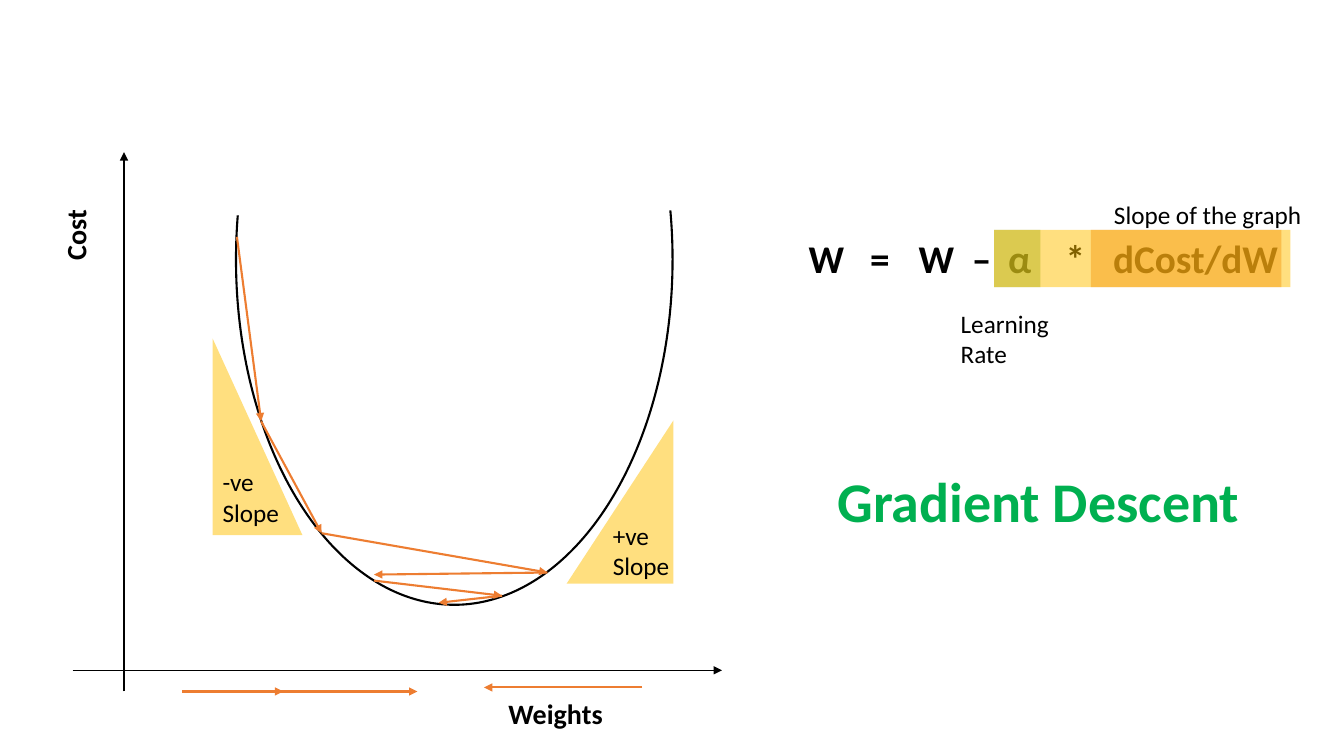
from pptx import Presentation
from pptx.dml.color import RGBColor
from pptx.enum.shapes import MSO_CONNECTOR, MSO_SHAPE
from pptx.enum.text import MSO_AUTO_SIZE, PP_ALIGN
from pptx.oxml.ns import qn
from pptx.util import Inches, Pt
from lxml.etree import SubElement

BLACK, ORANGE, GOLD, LEAF, GREEN = "000000", "ED7D31", "FFC000", "70AD47", "00B050"

EQUATION = ["W", "=", "W", "–", "α", "*", "dCost/dW"]
EQUATION_TABS = [0.61, 1.09, 1.62, 1.98, 2.55, 3.02]

DESCENT_STEPS = [
    ((2.35, 2.35), (2.59, 4.18)),
    ((2.59, 4.18), (3.19, 5.29)),
    ((3.19, 5.29), (5.43, 5.68)),
    ((5.43, 5.68), (3.71, 5.7)),
    ((3.71, 5.76), (4.98, 5.91)),
    ((4.98, 5.91), (4.35, 5.98)),
]
WEIGHT_MOVES = [
    ((1.81, 6.86), (2.81, 6.86)),
    ((2.47, 6.86), (4.14, 6.86)),
    ((6.37, 6.82), (4.8, 6.82)),
]


def color(hex_code):
    return RGBColor.from_string(hex_code)


def add_arrow(slide, start, end, line_color, width):
    points = [Inches(v) for v in (*start, *end)]
    line = slide.shapes.add_connector(MSO_CONNECTOR.STRAIGHT, *points)
    line.line.color.rgb = color(line_color)
    line.line.width = Pt(width)
    SubElement(line.line._get_or_add_ln(), qn("a:tailEnd"), type="triangle")
    SubElement(line._element.spPr, qn("a:effectLst"))


def add_text(slide, box, lines, size, text_color=BLACK, bold=False, align=PP_ALIGN.LEFT):
    sp = slide.shapes.add_textbox(*[Inches(v) for v in box])
    tf = sp.text_frame
    tf.word_wrap = True
    tf.auto_size = MSO_AUTO_SIZE.SHAPE_TO_FIT_TEXT
    for i, line in enumerate(lines):
        p = tf.add_paragraph() if i else tf.paragraphs[0]
        p.alignment = align
        r = p.add_run()
        r.text = line
        r.font.name = "Calibri"
        r.font.size = Pt(size)
        r.font.bold = bold
        r.font.color.rgb = color(text_color)
    return sp


def add_equation(slide):
    """Write the update rule with its terms set on tab stops."""
    sp = add_text(slide, (7.89, 2.28, 4.9, 0.57), ["\t".join(EQUATION)], 28, bold=True)
    tf = sp.text_frame
    tf.margin_left = Inches(0.13)
    tab_list = SubElement(tf.paragraphs[0]._p.get_or_add_pPr(), qn("a:tabLst"))
    for stop in EQUATION_TABS:
        SubElement(tab_list, qn("a:tab"), pos=str(Inches(stop)), algn="l")


def add_highlight(slide, kind, box, fill_color):
    """Add a half-transparent shape without outline."""
    sp = slide.shapes.add_shape(kind, *[Inches(v) for v in box])
    sp.shadow.inherit = False
    sp.fill.solid()
    sp.fill.fore_color.rgb = color(fill_color)
    fill = sp._element.spPr.find(qn("a:solidFill"))
    SubElement(fill[0], qn("a:alpha"), val="50000")
    sp.line.fill.background()
    return sp


def add_slope(slide, box, apex, label_box, sign):
    """Add a right triangle with its apex at 0 (left) or 1 (right)."""
    sp = add_highlight(slide, MSO_SHAPE.ISOSCELES_TRIANGLE, box, GOLD)
    sp.adjustments[0] = apex
    add_text(slide, label_box, [sign, "Slope"], 18)


def add_cost_curve(slide):
    sp = slide.shapes.add_shape(
        MSO_SHAPE.ARC, Inches(1.08), Inches(0.41), Inches(6.85), Inches(4.33))
    sp.rotation = 90
    sp.adjustments[0] = 154.31
    sp.adjustments[1] = 60.92
    sp.shadow.inherit = False
    sp.fill.background()
    sp.line.color.rgb = color(BLACK)
    sp.line.width = Pt(1.5)


def main():
    prs = Presentation()
    prs.slide_width, prs.slide_height = Inches(13.33), Inches(7.5)
    s = prs.slides.add_slide(prs.slide_layouts[6])

    add_arrow(s, (1.23, 6.86), (1.23, 1.51), BLACK, 1)
    add_arrow(s, (0.72, 6.65), (7.16, 6.65), BLACK, 1)
    add_text(s, (4.53, 6.86, 1.96, 0.44), ["Weights"], 20, bold=True, align=PP_ALIGN.CENTER)
    cost = add_text(s, (-0.23, 2.11, 1.96, 0.44), ["Cost"], 20, bold=True, align=PP_ALIGN.CENTER)
    cost.rotation = 270
    add_cost_curve(s)

    add_equation(s)
    add_highlight(s, MSO_SHAPE.RECTANGLE, (10.82, 2.28, 1.89, 0.57), ORANGE)
    add_text(s, (10.95, 1.93, 2.25, 0.4), ["Slope of the graph"], 18)
    add_highlight(s, MSO_SHAPE.RECTANGLE, (9.86, 2.28, 0.46, 0.57), LEAF)
    add_text(s, (9.43, 3.01, 1.57, 0.71), ["Learning Rate"], 18)
    add_highlight(s, MSO_SHAPE.RECTANGLE, (9.86, 2.28, 2.94, 0.57), GOLD)

    add_slope(s, (2.11, 3.36, 0.89, 1.95), 0, (2.11, 4.58, 1.63, 0.71), "-ve")
    add_slope(s, (5.62, 4.17, 1.06, 1.62), 1, (5.98, 5.11, 1.63, 0.71), "+ve")
    for start, end in DESCENT_STEPS + WEIGHT_MOVES:
        add_arrow(s, start, end, ORANGE, 1.5)

    add_text(s, (7.89, 4.58, 4.82, 0.77), ["Gradient Descent"], 40, GREEN, True, PP_ALIGN.CENTER)
    prs.save("out.pptx")


if __name__ == "__main__":
    main()
